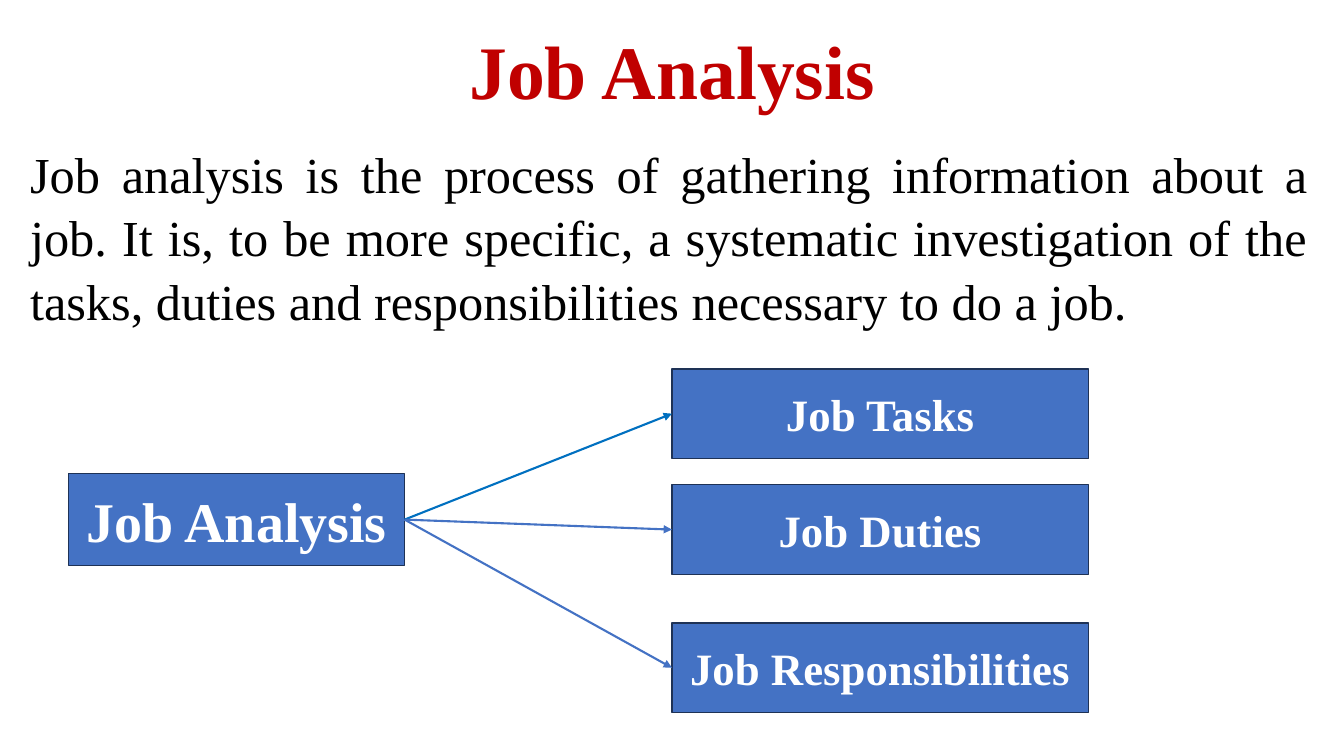
from lxml.etree import SubElement
from pptx import Presentation
from pptx.dml.color import RGBColor
from pptx.enum.shapes import MSO_CONNECTOR as Link, MSO_SHAPE as Kind
from pptx.enum.text import MSO_ANCHOR as Anchor, PP_ALIGN as Align
from pptx.oxml.ns import qn
from pptx.util import Pt


def color(code):
    return RGBColor.from_string(code)


def write(shape, text, size, ink="FFFFFF", bold=True, align=Align.CENTER,
          anchor=Anchor.MIDDLE, space=1.0):
    frame = shape.text_frame
    frame.word_wrap = True
    frame.vertical_anchor = anchor
    para = frame.paragraphs[0]
    para.alignment = align
    para.line_spacing = space
    run = para.add_run()
    run.text = text
    font = run.font
    font.name = "Times New Roman"
    font.size = Pt(size)
    font.bold = bold
    font.color.rgb = color(ink)


deck = Presentation()
deck.slide_width, deck.slide_height = Pt(960), Pt(540)
slide = deck.slides.add_slide(deck.slide_layouts[6])
shapes = slide.shapes

title = shapes.add_textbox(Pt(0), Pt(12.2), Pt(960), Pt(82.8))
write(title, "Job Analysis", 54, ink="C00000", space=0.9)

body = shapes.add_textbox(Pt(14.4), Pt(96.5), Pt(927.4), Pt(415))
write(body, "Job analysis is the process of gathering information about a job. "
      "It is, to be more specific, a systematic investigation of the tasks, "
      "duties and responsibilities necessary to do a job.",
      36, ink="000000", bold=False, align=Align.JUSTIFY,
      anchor=Anchor.TOP, space=1.05)

boxes = []
for text, left, top, width, height, size in [
    ("Job Analysis", 49, 338.4, 240, 65.5, 40),
    ("Job Tasks", 480, 263.5, 297.4, 64, 32),
    ("Job Duties", 480, 346.3, 297.4, 64, 32),
    ("Job Responsibilities", 480, 445, 297.4, 64, 32),
]:
    box = shapes.add_shape(Kind.RECTANGLE, Pt(left), Pt(top), Pt(width), Pt(height))
    box.shadow.inherit = False
    box.fill.solid()
    box.fill.fore_color.rgb = color("4472C4")
    box.line.color.rgb = color("1E3256")
    box.line.width = Pt(1)
    write(box, text, size)
    boxes.append(box)

root, *parts = boxes
for part, ink in zip(parts, ["0070C0", "4472C4", "4472C4"]):
    arrow = shapes.add_connector(Link.STRAIGHT, Pt(0), Pt(0), Pt(0), Pt(0))
    arrow.begin_connect(root, 3)
    arrow.end_connect(part, 1)
    arrow.line.color.rgb = color(ink)
    arrow.line.width = Pt(1.5)
    SubElement(arrow.line._get_or_add_ln(), qn("a:tailEnd"), type="triangle")
    SubElement(arrow._element.spPr, qn("a:effectLst"))

deck.save("out.pptx")
